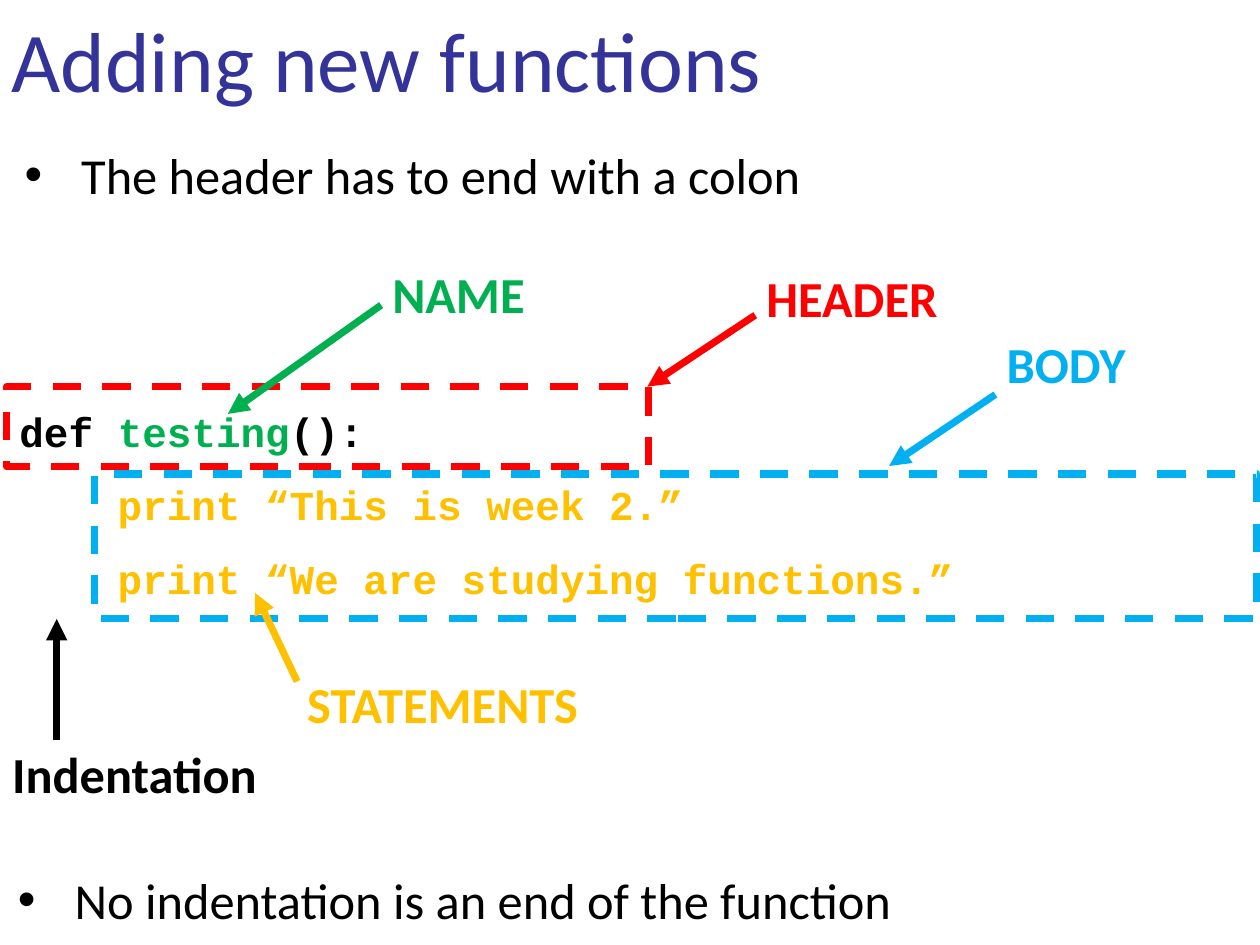
import pptx
import pptx.util
import pptx.dml.color
import pptx.enum.dml
import pptx.enum.shapes
import pptx.enum.text
import pptx.oxml.ns
import lxml.etree

Pt = pptx.util.Pt
Color = pptx.dml.color.RGBColor
Anchor = pptx.enum.text.MSO_ANCHOR
Fit = pptx.enum.text.MSO_AUTO_SIZE
Left = pptx.enum.text.PP_ALIGN.LEFT
BLACK = Color(0, 0, 0)
NAVY = Color(0x33, 0x33, 0x99)
GREEN = Color(0, 0xB0, 0x50)
GOLD = Color(0xFF, 0xC0, 0)
RED = Color(0xFF, 0, 0)
BLUE = Color(0, 0xB0, 0xF0)

LABEL = {"name": "Calibri", "size": Pt(32), "bold": True}
POINT = {"name": "Calibri", "size": Pt(32), "bold": False}
TITLE = {"name": "Calibri", "size": Pt(54), "bold": False}
CODE = {"name": "Courier New", "size": Pt(26), "bold": True}
INSET = {"margin_left": Pt(3), "margin_right": Pt(3), "margin_top": Pt(3),
         "margin_bottom": Pt(3), "word_wrap": True, "auto_size": Fit.NONE,
         "vertical_anchor": Anchor.MIDDLE}


def dress(item, form):
    for key, value in form.items():
        setattr(item, key, value)


def place(item, box):
    dress(item, dict(zip(("left", "top", "width", "height"), map(Pt, box))))


def node(parent, tag, **form):
    return lxml.etree.SubElement(parent, pptx.oxml.ns.qn("a:" + tag), form)


def write(para, text, form, color):
    run = para.add_run()
    run.text = text
    dress(run.font, form)
    run.font.color.rgb = color


def indent(para, left, first, mark=None):
    props = para._p.get_or_add_pPr()
    props.set("marL", str(Pt(left)))
    props.set("indent", str(Pt(first)))
    if mark:
        node(props, "buFont", typeface="Arial")
        node(props, "buChar", char=mark)
    else:
        node(props, "buNone")


def add_text(slide, box, text, form, color, wrap):
    frame = slide.shapes.add_textbox(*map(Pt, box)).text_frame
    dress(frame, {"word_wrap": wrap, "auto_size": Fit.SHAPE_TO_FIT_TEXT})
    para = frame.paragraphs[0]
    write(para, text, form, color)
    return para


def add_title(slide, box):
    title = slide.shapes.title
    place(title, box)
    dress(title.text_frame, INSET)
    para = title.text_frame.paragraphs[0]
    para.alignment = Left
    write(para, "Adding new functions", TITLE, NAVY)


def add_code(slide, box):
    body = slide.placeholders[1]
    place(body, box)
    frame = body.text_frame
    dress(frame, INSET)
    lines = [
        (0, [("def ", BLACK), ("testing", GREEN), ("():", BLACK)]),
        (4, [("print “This is week 2.”", GOLD)]),
        (4, [("print “We are studying functions.”", GOLD)]),
    ]
    for row, (depth, parts) in enumerate(lines):
        para = frame.add_paragraph() if row else frame.paragraphs[0]
        dress(para, {"alignment": Left, "line_spacing": Pt(46.7),
                     "space_before": Pt(0 if row else 5)})
        indent(para, 17.3 + depth * 15.6, 0)
        for text, color in parts:
            write(para, text, CODE, color)


def add_frame(slide, box, color):
    kind = pptx.enum.shapes.MSO_SHAPE.RECTANGLE
    frame = slide.shapes.add_shape(kind, *map(Pt, box))
    frame.shadow.inherit = False
    frame.fill.background()
    frame.line.color.rgb = color
    dress(frame.line, {"width": Pt(4.5),
                       "dash_style": pptx.enum.dml.MSO_LINE.DASH})


def add_arrow(slide, start, end, color):
    kind = pptx.enum.shapes.MSO_CONNECTOR.STRAIGHT
    arrow = slide.shapes.add_connector(kind, *map(Pt, start + end))
    arrow.line.color.rgb = color
    arrow.line.width = Pt(4.5)
    node(arrow.line._get_or_add_ln(), "tailEnd", type="triangle")
    node(arrow._element.spPr, "effectLst")


def add_notes(slide, box):
    x, y, wide, high = box
    add_frame(slide, (x + 4.3, y + 82, 407.5, 51), RED)
    add_frame(slide, (x + 60, y + 137.5, 738, 92), BLUE)
    notes = [
        ("HEADER", RED, (479.5, 2.8, 151), (479.5, 36.6), (411, 82)),
        ("NAME", GREEN, (242, 0, 99.5), (242, 30.2), (144.7, 99.3)),
        ("STATEMENTS", GOLD, (188, 260.6, 188.5), (188.7, 269.2), (162, 213)),
        ("BODY", BLUE, (632, 44.6, 108), (632, 87), (564.5, 132.4)),
        ("Indentation", BLACK, (0.7, 305, 171.5), (36, 306.6), (36, 229.5)),
    ]
    for text, color, (left, top, span), start, end in notes:
        ends = [(x + px, y + py) for px, py in (start, end)]
        add_arrow(slide, *ends, color)
        add_text(slide, (x + left, y + top, span, 46), text, LABEL, color, False)


def add_point(slide, box, text, left):
    para = add_text(slide, box, text, POINT, BLACK, True)
    indent(para, left, -36, "•")


def build():
    deck = pptx.Presentation()
    dress(deck, {"slide_width": Pt(800), "slide_height": Pt(600)})
    slide = deck.slides.add_slide(deck.slide_layouts[1])
    add_title(slide, (4.3, 4.3, 794, 65.5))
    add_code(slide, (-8, 98.6, 816, 427.7))
    add_notes(slide, (0, 163.5, 800, 351))
    add_point(slide, (-11.5, 88, 728.5, 46),
              "The header has to end with a colon", 56)
    add_point(slide, (4.3, 548, 697.5, 46),
              "No indentation is an end of the function", 36)
    deck.save("out.pptx")


build()
